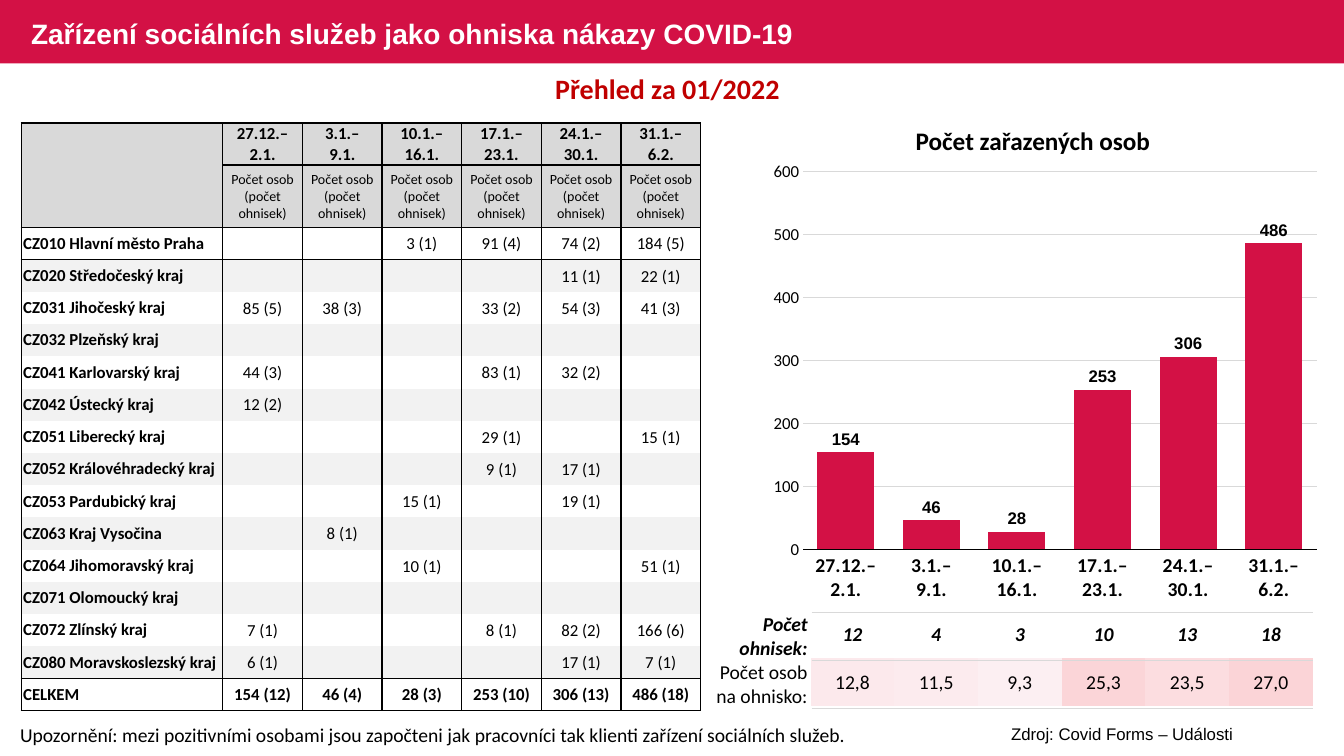
"""Build the slide on social care homes as COVID-19 outbreak sites."""
import pptx
import pptx.chart.data
import pptx.dml.color
import pptx.enum.chart
import pptx.enum.shapes
import pptx.enum.text
import pptx.oxml
import pptx.oxml.ns
import pptx.util

Inches = pptx.util.Inches
Pt = pptx.util.Pt
RGBColor = pptx.dml.color.RGBColor
ALIGN = pptx.enum.text.PP_ALIGN
MIDDLE = pptx.enum.text.MSO_ANCHOR.MIDDLE
RED = RGBColor(0xD3, 0x11, 0x45)
DARK = RGBColor(0xC0, 0x00, 0x00)
BLACK = RGBColor(0, 0, 0)
WHITE = RGBColor(0xFF, 0xFF, 0xFF)
GREY = RGBColor(0xD9, 0xD9, 0xD9)
BAND = RGBColor(0xF2, 0xF2, 0xF2)
PINKS = [RGBColor(0xFC, 0xE9, 0xEC), RGBColor(0xFC, 0xEB, 0xEE), RGBColor(0xFC, 0xEF, 0xF2),
         RGBColor(0xFB, 0xD5, 0xD8), RGBColor(0xFC, 0xDD, 0xE0), RGBColor(0xFB, 0xD4, 0xD7)]
PLAIN = "{2D5ABB26-0587-4C30-8999-92F81FD0307C}"


def write(box, text, size=12, face="Calibri", color=BLACK, bold=False, italic=False,
          align=ALIGN.CENTER):
    para = box.text_frame.paragraphs[0]
    para.alignment = align
    if not text:
        para._p.get_or_add_endParaRPr().set("sz", str(size * 100))
        return para
    for n, line in enumerate(text.split("\n")):
        if n:
            para.add_line_break()
        run = para.add_run()
        run.text = line
        run.font.size = Pt(size)
        run.font.name = face
        run.font.bold = bold
        run.font.italic = italic
        run.font.color.rgb = color
    return para


def edge(cell, sides, color=BLACK, width=1):
    for side in sides:
        cell._tc.get_or_add_tcPr().append(pptx.oxml.parse_xml(
            f'<a:ln{side} {pptx.oxml.ns.nsdecls("a")} w="{int(Pt(width))}"><a:solidFill>'
            f'<a:srgbClr val="{color}"/></a:solidFill></a:ln{side}>'))


weeks = ["27.12.–\n2.1.", "3.1.–\n9.1.", "10.1.–\n16.1.",
         "17.1.–\n23.1.", "24.1.–\n30.1.", "31.1.–\n6.2."]
people = [154, 46, 28, 253, 306, 486]
sites = [12, 4, 3, 10, 13, 18]
rates = ["12,8", "11,5", "9,3", "25,3", "23,5", "27,0"]
regions = [
    ["CZ010 Hlavní město Praha", "", "", "3 (1)", "91 (4)", "74 (2)", "184 (5)"],
    ["CZ020 Středočeský kraj", "", "", "", "", "11 (1)", "22 (1)"],
    ["CZ031 Jihočeský kraj", "85 (5)", "38 (3)", "", "33 (2)", "54 (3)", "41 (3)"],
    ["CZ032 Plzeňský kraj", "", "", "", "", "", ""],
    ["CZ041 Karlovarský kraj", "44 (3)", "", "", "83 (1)", "32 (2)", ""],
    ["CZ042 Ústecký kraj", "12 (2)", "", "", "", "", ""],
    ["CZ051 Liberecký kraj", "", "", "", "29 (1)", "", "15 (1)"],
    ["CZ052 Královéhradecký kraj", "", "", "", "9 (1)", "17 (1)", ""],
    ["CZ053 Pardubický kraj", "", "", "15 (1)", "", "19 (1)", ""],
    ["CZ063 Kraj Vysočina", "", "8 (1)", "", "", "", ""],
    ["CZ064 Jihomoravský kraj", "", "", "10 (1)", "", "", "51 (1)"],
    ["CZ071 Olomoucký kraj", "", "", "", "", "", ""],
    ["CZ072 Zlínský kraj", "7 (1)", "", "", "8 (1)", "82 (2)", "166 (6)"],
    ["CZ080 Moravskoslezský kraj", "6 (1)", "", "", "", "17 (1)", "7 (1)"],
]
total = ["CELKEM"] + [f"{p} ({s})" for p, s in zip(people, sites)]
rows = [[""] + weeks, [""] + ["Počet osob (počet ohnisek)"] * 6, *regions, total]

deck = pptx.Presentation()
deck.slide_width = Inches(13.33)
deck.slide_height = Inches(7.5)
slide = deck.slides.add_slide(deck.slide_layouts[6])

strip = slide.shapes.add_shape(pptx.enum.shapes.MSO_SHAPE.RECTANGLE,
                               0, 0, deck.slide_width, Inches(0.63))
strip.shadow.inherit = False
strip.fill.solid()
strip.fill.fore_color.rgb = RED
strip.line.fill.background()

tables = []
for left, top, widths, heights in [
        (8.04, 6.06, [0.83] * 6, [0.47] * 2),
        (0.21, 1.22, [2] + [0.79] * 6, [0.41, 0.62] + [0.32] * 15),
        (7.04, 6.08, [1.01] + [0.71] * 7, [0.47] * 2)]:
    frame = slide.shapes.add_table(len(heights), len(widths), Inches(left), Inches(top),
                                   Inches(sum(widths)), Inches(sum(heights)))
    table = frame.table
    table.first_row = table.horz_banding = False
    table._tbl.tblPr.find(pptx.oxml.ns.qn("a:tableStyleId")).text = PLAIN
    for col, width in zip(table.columns, widths):
        col.width = Inches(width)
    for row, height in zip(table.rows, heights):
        row.height = Inches(height)
    for cell in table.iter_cells():
        cell.margin_left = cell.margin_right = cell.margin_top = Inches(0.01)
        cell.margin_bottom = 0
        cell.vertical_anchor = MIDDLE
        cell.fill.background()
    tables.append(table)
ratios, main, labels = tables

for c in range(6):
    write(ratios.cell(0, c), str(sites[c]), size=14, bold=True, italic=True)
    cell = ratios.cell(1, c)
    write(cell, rates[c], size=14)
    cell.fill.solid()
    cell.fill.fore_color.rgb = PINKS[c]

last = len(rows) - 1
for r, row in enumerate(rows):
    for c, text in enumerate(row):
        cell = main.cell(r, c)
        first = c == 0
        write(cell, text, size=10 if r == 1 else 12,
              bold=r in (0, last) or (first and r > 1),
              align=ALIGN.LEFT if first else ALIGN.CENTER)
        if first:
            cell.margin_left = cell.margin_right = Inches(0.02)
            cell.margin_top = 0
        edge(cell, "LR")
        if r in (0, last) or (r == 1 and not first):
            edge(cell, "T")
        if r == 2:
            edge(cell, "T", width=0.5)
        if r >= last - 1 or (r == 0 and not first):
            edge(cell, "B")
        if r == 1:
            edge(cell, "B", width=0.5)
        if r < 2 or (r % 2 and r < last):
            cell.fill.solid()
            cell.fill.fore_color.rgb = GREY if r < 2 else BAND
        else:
            cell.fill.background()

for r, text in enumerate(["Počet ohnisek:", "Počet osob na ohnisko:"]):
    for c in range(8):
        cell = labels.cell(r, c)
        cell.margin_top = 0
        if c:
            write(cell, "")
            edge(cell, "TB", GREY)
        else:
            cell.margin_right = Inches(0.04)
            write(cell, text, size=14, bold=r == 0, italic=r == 0, align=ALIGN.RIGHT)

data = pptx.chart.data.CategoryChartData()
data.categories = weeks
data.add_series("Počet zařazených osob", people)
kinds = pptx.enum.chart
chart = slide.shapes.add_chart(kinds.XL_CHART_TYPE.COLUMN_CLUSTERED, Inches(7.56), Inches(1.51),
                               Inches(5.61), Inches(4.55), data).chart
chart.has_title = chart.has_legend = False
plot = chart.plots[0]
plot.gap_width = 50
plot.vary_by_categories = False
bars = plot.series[0]
bars.format.fill.solid()
bars.format.fill.fore_color.rgb = RED
tags = bars.data_labels
tags.show_value = True
tags.position = kinds.XL_LABEL_POSITION.OUTSIDE_END
weekly, scale = chart.category_axis, chart.value_axis
scale.minimum_scale, scale.maximum_scale, scale.major_unit = 0, 600, 100
for font, face, size, bold in [(chart.font, "Arial", 14, True), (tags.font, "Arial", 12, True),
                               (weekly.tick_labels.font, "Calibri", 14, True),
                               (scale.tick_labels.font, "Calibri", 12, False)]:
    font.name, font.size, font.bold = face, Pt(size), bold
    font.color.rgb = BLACK
for axis in (weekly, scale):
    axis.major_tick_mark = axis.minor_tick_mark = kinds.XL_TICK_MARK.NONE
scale.format.line.fill.background()
for line, color in [(weekly.format.line, BLACK), (scale.major_gridlines.format.line, GREY)]:
    line.color.rgb = color
    line.width = Pt(0.75)

for left, top, width, height, text, style in [
        (0.1, 7.12, 8.52, 0.34, "Upozornění: mezi pozitivními osobami jsou započteni jak pracovníci "
         "tak klienti zařízení sociálních služeb.", dict(size=14, align=ALIGN.LEFT)),
        (7.56, 1.19, 5.37, 0.4, "Počet zařazených osob", dict(size=18, bold=True)),
        (0.21, 0.02, 8.13, 0.63, "Zařízení sociálních služeb jako ohniska nákazy COVID-19",
         dict(size=20, face="Arial", color=WHITE, bold=True, align=ALIGN.LEFT)),
        (0.21, 0.66, 12.82, 0.44, "Přehled za 01/2022", dict(size=20, color=DARK, bold=True)),
        (9.03, 7.13, 4.2, 0.3, "Zdroj: Covid Forms – Události", dict(face="Arial"))]:
    box = slide.shapes.add_textbox(Inches(left), Inches(top), Inches(width), Inches(height))
    box.text_frame.word_wrap = True
    box.text_frame.vertical_anchor = MIDDLE
    write(box, text, **style)

deck.save("out.pptx")
